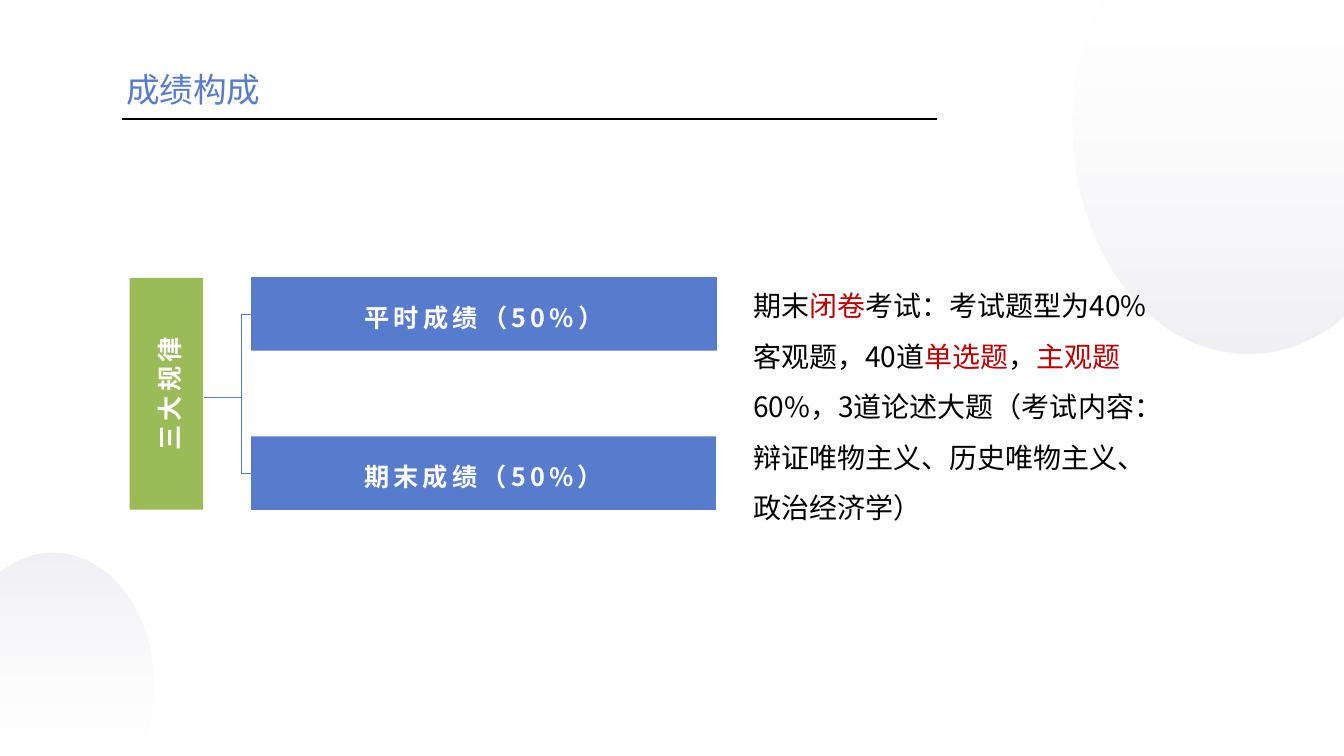
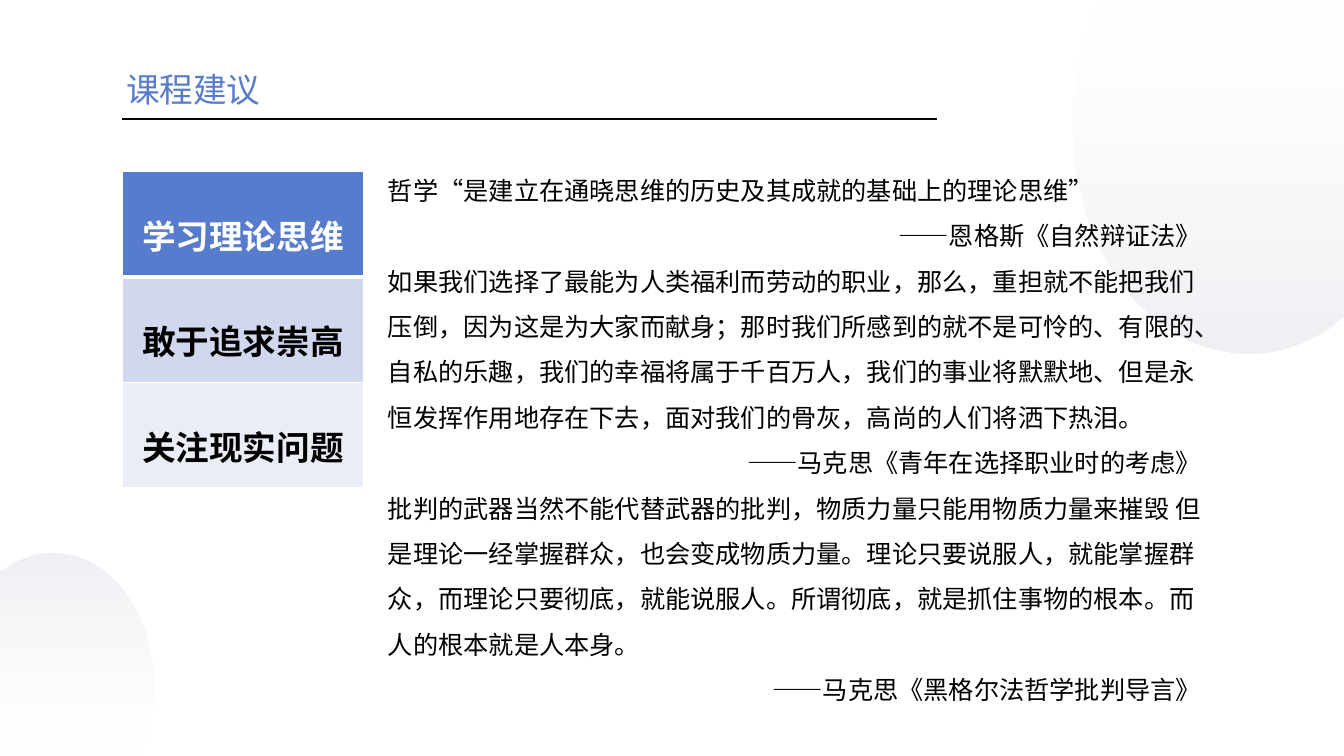
from lxml import etree
from pptx import Presentation
from pptx.dml.color import RGBColor
from pptx.enum.shapes import MSO_CONNECTOR, MSO_SHAPE
from pptx.enum.text import MSO_ANCHOR, MSO_AUTO_SIZE, PP_ALIGN
from pptx.oxml.ns import qn
from pptx.util import Inches, Pt

LEFT, CENTER, RIGHT = PP_ALIGN.LEFT, PP_ALIGN.CENTER, PP_ALIGN.RIGHT
TOP, MIDDLE = MSO_ANCHOR.TOP, MSO_ANCHOR.MIDDLE
RECT, STRAIGHT = MSO_SHAPE.RECTANGLE, MSO_CONNECTOR.STRAIGHT
NO_FIT = MSO_AUTO_SIZE.NONE

FONT = "Noto Sans CJK SC"
WHITE = RGBColor(0xFF, 0xFF, 0xFF)
BLACK = RGBColor(0x00, 0x00, 0x00)
BLUE = RGBColor(0x57, 0x7C, 0xCE)
GREEN = RGBColor(0x9B, 0xBB, 0x59)
RED = RGBColor(0xC0, 0x00, 0x00)
LILAC = RGBColor(0xBE, 0xBE, 0xD2)
PALE = RGBColor(0xD1, 0xD7, 0xED)
FAINT = RGBColor(0xEA, 0xEC, 0xF6)

# Outlines: four corners, a corner where the curves start, then three
# points for each Bezier curve.
BLOB_R = [(10.92, 0.01), (13.33, 0.01), (13.33, 3.13), (13.2, 3.24),
          (12.95, 3.41), (12.67, 3.51), (12.37, 3.51),
          (11.41, 3.51), (10.64, 2.49), (10.64, 1.24),
          (10.64, 0.84), (10.71, 0.48), (10.85, 0.15)]
BLOB_L = [(1.36, 7.49), (-0.03, 7.49), (-0.03, 5.7), (0.05, 5.64),
          (0.19, 5.54), (0.35, 5.48), (0.53, 5.48),
          (1.07, 5.48), (1.52, 6.07), (1.52, 6.78),
          (1.52, 7.01), (1.48, 7.22), (1.4, 7.41)]
CORNERS = 4

EXAM = ("期末|闭卷|考试：考试题型为40%客观题，40道|单选题|，|主观题|"
        "60%，3道论述大题（考试内容：辩证唯物主义、历史唯物主义、政治经济学）")
QUOTES = [
    "哲学“是建立在通晓思维的历史及其成就的基础上的理论思维”",
    "——恩格斯《自然辩证法》",
    "如果我们选择了最能为人类福利而劳动的职业，那么，重担就不能把我们压倒，"
    "因为这是为大家而献身；那时我们所感到的就不是可怜的、有限的、自私的乐趣，"
    "我们的幸福将属于千百万人，我们的事业将默默地、但是永恒发挥作用地存在下去，"
    "面对我们的骨灰，高尚的人们将洒下热泪。",
    "——马克思《青年在选择职业时的考虑》",
    "批判的武器当然不能代替武器的批判，物质力量只能用物质力量来摧毁 "
    "但是理论一经掌握群众，也会变成物质力量。理论只要说服人，就能掌握群众，"
    "而理论只要彻底，就能说服人。所谓彻底，就是抓住事物的根本。而人的根本就是人本身。",
    "——马克思《黑格尔法哲学批判导言》",
]
ADVICE = [("学习理论思维", BLUE, WHITE), ("敢于追求崇高", PALE, BLACK),
          ("关注现实问题", FAINT, BLACK)]


def write(frame, *lines, size=18, color=BLACK, bold=False, align=LEFT,
          space=1.0, track=0, anchor=TOP):
    """Fill a frame; bars set off red parts, a leading dash sets a line right."""
    frame.word_wrap = True
    frame.vertical_anchor = anchor
    for i, line in enumerate(lines):
        para = frame.add_paragraph() if i else frame.paragraphs[0]
        para.alignment = RIGHT if line.startswith("——") else align
        para.line_spacing = space
        for j, part in enumerate(line.split("|")):
            run = para.add_run()
            run.text = part
            font = run.font
            font.size, font.bold, font.name = Pt(size), bold, FONT
            font.color.rgb = RED if j % 2 else color
            props = run._r.get_or_add_rPr()
            etree.SubElement(props, qn("a:ea"), typeface=FONT)
            if track:
                props.set("spc", str(track * 100))


def bend(shape):
    """Turn the lines after the corners into curves, three at a time."""
    lines = list(shape._element.iter(qn("a:lnTo")))[CORNERS - 1:]
    for first, *rest in zip(lines[::3], lines[1::3], lines[2::3]):
        arc = etree.Element(qn("a:cubicBezTo"))
        first.addprevious(arc)
        for line in (first, *rest):
            arc.append(line[0])
            line.getparent().remove(line)


def blob(slide, outline, angle):
    points = [(Inches(x), Inches(y)) for x, y in outline]
    path = slide.shapes.build_freeform(*points[0])
    path.add_line_segments(points[1:], close=True)
    shape = path.convert_to_shape()
    bend(shape)
    shape.shadow.inherit = False
    shape.line.fill.background()
    shape.fill.gradient()
    shape.fill.gradient_angle = angle
    looks = [(0, WHITE, 10), (1, LILAC, 24)]
    for stop, (place, color, _) in zip(shape.fill.gradient_stops, looks):
        stop.position, stop.color.rgb = place, color
    for node, look in zip(shape._element.iter(qn("a:srgbClr")), looks):
        etree.SubElement(node, qn("a:alpha"), val=str(look[2] * 1000))


def rule(slide, x1, y1, x2, y2, color, width):
    line = slide.shapes.add_connector(
        STRAIGHT, Inches(x1), Inches(y1), Inches(x2), Inches(y2))
    line.line.color.rgb, line.line.width = color, Pt(width)
    etree.SubElement(line._element.spPr, qn("a:effectLst"))


def bar(slide, text, left, top, width, height, fill, turn=0):
    shape = slide.shapes.add_shape(
        RECT, Inches(left), Inches(top), Inches(width), Inches(height))
    shape.shadow.inherit = False
    shape.fill.solid()
    shape.fill.fore_color.rgb = fill
    shape.line.fill.background()
    shape.rotation = turn
    write(shape.text_frame, text, color=WHITE, bold=True, align=CENTER,
          space=1.2, track=3, anchor=MIDDLE)


def note(slide, left, top, width, height, *lines, size):
    box = slide.shapes.add_textbox(
        Inches(left), Inches(top), Inches(width), Inches(height))
    write(box.text_frame, *lines, size=size, space=1.5)


def edge(cell, side, width):
    """Draw one white border of a table cell."""
    line = etree.SubElement(cell._tc.get_or_add_tcPr(), qn("a:ln" + side),
                            w=str(Pt(width)))
    fill = etree.SubElement(line, qn("a:solidFill"))
    etree.SubElement(fill, qn("a:srgbClr"), val=str(WHITE))


def panel(slide, rows, left, top, width, height):
    """A one-column table with a thicker line below its first row."""
    table = slide.shapes.add_table(
        len(rows), 1, Inches(left), Inches(top), Inches(width),
        Inches(height)).table
    for i, (text, fill, color) in enumerate(rows):
        cell = table.cell(i, 0)
        for side in "LRTB":
            edge(cell, side, 3 if (i, side) in [(0, "B"), (1, "T")] else 1)
        cell.fill.solid()
        cell.fill.fore_color.rgb = fill
        write(cell.text_frame, text, size=24, color=color, bold=True,
              align=CENTER, space=1.7)


def start(deck, text):
    """Add a slide with the shared backdrop, title and rule."""
    slide = deck.slides.add_slide(deck.slide_layouts[5])
    blob(slide, BLOB_R, 270)
    blob(slide, BLOB_L, 90)
    rule(slide, 1.21, 1.18, 9.29, 1.18, BLACK, 1.5)
    title = slide.shapes.title
    title.left, title.top = Inches(1.15), Inches(0.63)
    title.width, title.height = Inches(9.15), Inches(0.5)
    title.text_frame.auto_size = NO_FIT
    write(title.text_frame, text, size=24, color=BLUE)
    return slide


def grades(deck):
    slide = start(deck, "成绩构成")
    high, left, stem = 0.73, 2.49, 2.39
    bar(slide, "三大规律", 0.5, 3.54, 2.3, high, GREEN, turn=270)
    parts = [("平时成绩（50%）", 2.75, 4.62), ("期末成绩（50%）", 4.33, 4.61)]
    mids = [top + high / 2 for _, top, _ in parts]
    for (text, top, width), mid in zip(parts, mids):
        bar(slide, text, left, top, width, high, BLUE)
        rule(slide, left, mid, stem, mid, BLUE, 0.5)
    rule(slide, stem, mids[0], stem, mids[1], BLUE, 0.5)
    rule(slide, stem, 3.94, 2.02, 3.94, BLUE, 0.5)
    note(slide, 7.37, 2.65, 4.19, 2.62, EXAM, size=20)


def advice(deck):
    slide = start(deck, "课程建议")
    note(slide, 3.75, 1.54, 8.26, 5.55, *QUOTES, size=18)
    panel(slide, ADVICE, 1.21, 1.7, 2.4, 3.14)


def main():
    deck = Presentation()
    deck.slide_width, deck.slide_height = Inches(13.33), Inches(7.5)
    grades(deck)
    advice(deck)
    deck.save("out.pptx")


if __name__ == "__main__":
    main()
